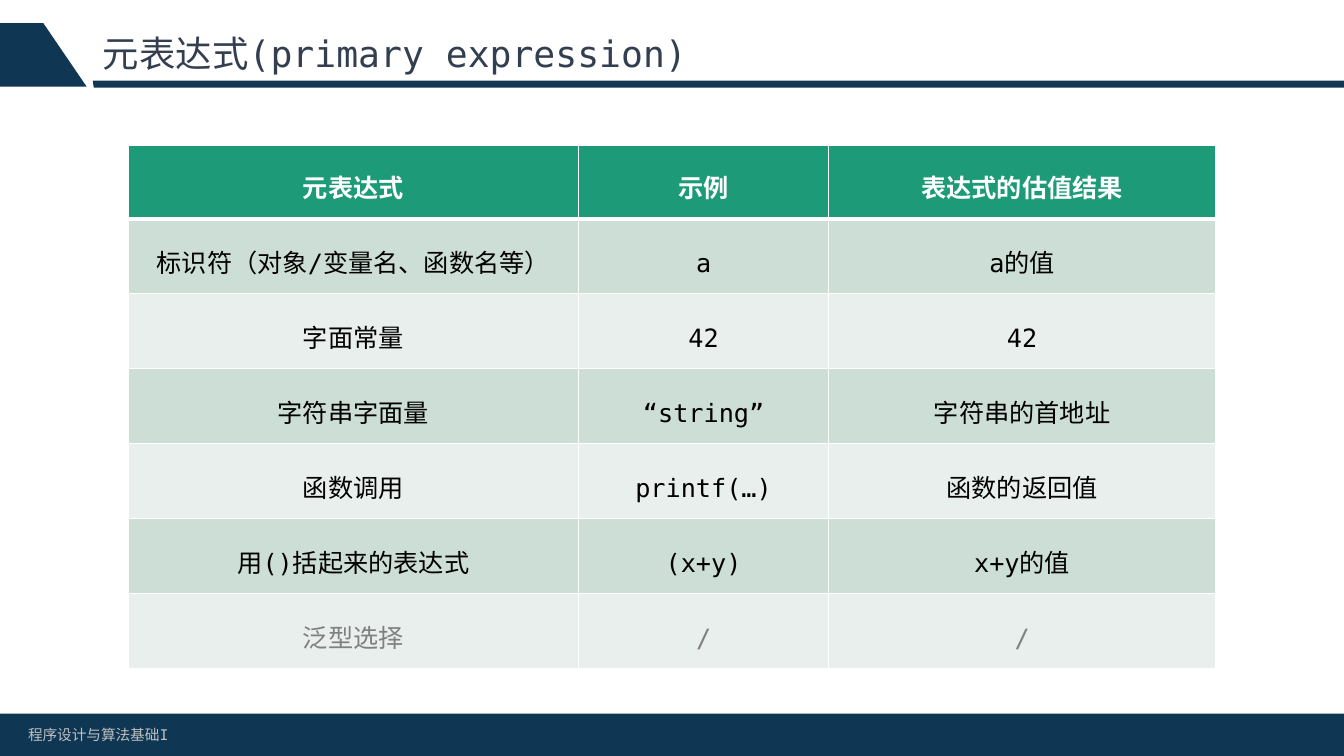
from dataclasses import dataclass

from lxml import etree
from pptx import Presentation
from pptx.dml.color import RGBColor
from pptx.enum.shapes import MSO_SHAPE
from pptx.enum.text import MSO_ANCHOR, MSO_AUTO_SIZE, PP_ALIGN
from pptx.oxml.ns import qn
from pptx.shapes.autoshape import Shape
from pptx.slide import Slide
from pptx.table import _Cell
from pptx.text.text import _Paragraph
from pptx.util import Inches, Length, Pt

RECTANGLE = MSO_SHAPE.RECTANGLE
MIDDLE = MSO_ANCHOR.MIDDLE
FIXED_SIZE = MSO_AUTO_SIZE.NONE
GROW = MSO_AUTO_SIZE.SHAPE_TO_FIT_TEXT
LEFT = PP_ALIGN.LEFT
CENTER = PP_ALIGN.CENTER

UNIT = Inches(0.1)
SLIDE_COLUMNS = 133.33
SLIDE_ROWS = 75


@dataclass(frozen=True)
class Theme:
    font: str = "DejaVu Sans Mono"
    navy: str = "0F3754"
    title: str = "333F50"
    footer: str = "BFBFBF"
    header: str = "1D9A78"
    bands: tuple[str, str] = ("CDDED6", "E8EFEC")
    white: str = "FFFFFF"
    body: str = "000000"
    muted: str = "808080"
    title_size: float = 26
    table_size: float = 18
    footer_size: float = 10.5
    thin_border: float = 1
    thick_border: float = 3


@dataclass(frozen=True)
class Area:
    column: float
    row: float
    columns: float
    rows: float

    def lengths(self) -> tuple[Length, Length, Length, Length]:
        return grid(self.column), grid(self.row), grid(self.columns), grid(self.rows)


@dataclass(frozen=True)
class TextStyle:
    size: float
    color: str
    bold: bool = False


@dataclass(frozen=True)
class ExpressionRow:
    expression: str
    example: str
    result: str
    muted: bool = False

    def texts(self) -> tuple[str, str, str]:
        return self.expression, self.example, self.result


THEME = Theme()
TITLE_AREA = Area(9.2, 2.3, 115, 6.4)
FOOTER_AREA = Area(0, 70.8, SLIDE_COLUMNS, 4.2)
FOOTER_TEXT_AREA = Area(1.8, 71.5, 43.2, 2.9)
TITLE_ORNAMENTS = (
    ((9.2, 8), (SLIDE_COLUMNS, 8), (SLIDE_COLUMNS, 8.7), (9.3, 8.7)),
    ((4.3, 2.3), (8.6, 8.6), (0, 8.6), (0, 2.3)),
)
TABLE_COLUMNS = (44.7, 24.8, 38.4)
HEADER_ROWS = 7.3
BODY_ROWS = 7.44
EXPRESSIONS = (
    ExpressionRow("元表达式", "示例", "表达式的估值结果"),
    ExpressionRow("标识符（对象/变量名、函数名等）", "a", "a的值"),
    ExpressionRow("字面常量", "42", "42"),
    ExpressionRow("字符串字面量", "“string”", "字符串的首地址"),
    ExpressionRow("函数调用", "printf(…)", "函数的返回值"),
    ExpressionRow("用()括起来的表达式", "(x+y)", "x+y的值"),
    ExpressionRow("泛型选择", "/", "/", muted=True),
)
TABLE_AREA = Area(
    12.7, 14.4, sum(TABLE_COLUMNS), HEADER_ROWS + BODY_ROWS * (len(EXPRESSIONS) - 1)
)


def grid(count: float) -> Length:
    return Length(round(count * UNIT))


def add_run(paragraph: _Paragraph, text: str, style: TextStyle) -> None:
    run = paragraph.add_run()
    run.text = text
    run.font.size = Pt(style.size)
    run.font.bold = style.bold
    run.font.color.rgb = RGBColor.from_string(style.color)
    run.font.name = THEME.font
    properties = run.font._element
    properties.set("lang", "zh-CN")
    etree.SubElement(properties, qn("a:ea"), typeface=THEME.font)


def paint(shape: Shape) -> None:
    shape.shadow.inherit = False
    shape.fill.solid()
    shape.fill.fore_color.rgb = RGBColor.from_string(THEME.navy)
    shape.line.fill.background()


def add_ornament(slide: Slide, corners: tuple[tuple[float, float], ...]) -> None:
    points = [(grid(column), grid(row)) for column, row in corners]
    builder = slide.shapes.build_freeform(*points[0])
    builder.add_line_segments(points[1:], close=True)
    paint(builder.convert_to_shape())


def add_title(slide: Slide, text: str) -> None:
    title = slide.shapes.title
    title.left, title.top, title.width, title.height = TITLE_AREA.lengths()
    frame = title.text_frame
    frame.auto_size = FIXED_SIZE
    frame.vertical_anchor = MIDDLE
    paragraph = frame.paragraphs[0]
    paragraph.alignment = LEFT
    paragraph.line_spacing = 0.9
    add_run(paragraph, text, TextStyle(THEME.title_size, THEME.title))


def add_footer(slide: Slide, text: str) -> None:
    paint(slide.shapes.add_shape(RECTANGLE, *FOOTER_AREA.lengths()))
    frame = slide.shapes.add_textbox(*FOOTER_TEXT_AREA.lengths()).text_frame
    frame.word_wrap = True
    frame.auto_size = GROW
    add_run(frame.paragraphs[0], text, TextStyle(THEME.footer_size, THEME.footer))


def set_borders(cell: _Cell, top: float, bottom: float) -> None:
    properties = cell._tc.get_or_add_tcPr()
    widths = {"L": THEME.thin_border, "R": THEME.thin_border, "T": top, "B": bottom}
    for side, width in widths.items():
        line = etree.SubElement(properties, qn(f"a:ln{side}"), w=str(Pt(width)))
        fill = etree.SubElement(line, qn("a:solidFill"))
        etree.SubElement(fill, qn("a:srgbClr"), val=THEME.white)


def fill_cell(cell: _Cell, text: str, fill: str, style: TextStyle) -> None:
    cell.fill.solid()
    cell.fill.fore_color.rgb = RGBColor.from_string(fill)
    cell.vertical_anchor = MIDDLE
    paragraph = cell.text_frame.paragraphs[0]
    paragraph.alignment = CENTER
    paragraph.line_spacing = 1.5
    add_run(paragraph, text, style)


def add_expression_table(slide: Slide) -> None:
    frame = slide.shapes.add_table(
        len(EXPRESSIONS), len(TABLE_COLUMNS), *TABLE_AREA.lengths()
    )
    table = frame.table
    for column, columns in zip(table.columns, TABLE_COLUMNS):
        column.width = grid(columns)
    for index, expression in enumerate(EXPRESSIONS):
        is_header = index == 0
        table.rows[index].height = grid(HEADER_ROWS if is_header else BODY_ROWS)
        fill = THEME.header if is_header else THEME.bands[(index - 1) % 2]
        body_color = THEME.muted if expression.muted else THEME.body
        color = THEME.white if is_header else body_color
        style = TextStyle(THEME.table_size, color, is_header)
        top = THEME.thick_border if index == 1 else THEME.thin_border
        bottom = THEME.thick_border if is_header else THEME.thin_border
        for cell, text in zip(table.rows[index].cells, expression.texts()):
            set_borders(cell, top, bottom)
            fill_cell(cell, text, fill, style)


def main() -> None:
    presentation = Presentation()
    presentation.slide_width = grid(SLIDE_COLUMNS)
    presentation.slide_height = grid(SLIDE_ROWS)
    slide = presentation.slides.add_slide(presentation.slide_layouts.get_by_name("Title Only"))
    for corners in TITLE_ORNAMENTS:
        add_ornament(slide, corners)
    add_footer(slide, "程序设计与算法基础I")
    add_title(slide, "元表达式(primary expression)")
    add_expression_table(slide)
    presentation.save("out.pptx")


if __name__ == "__main__":
    main()
